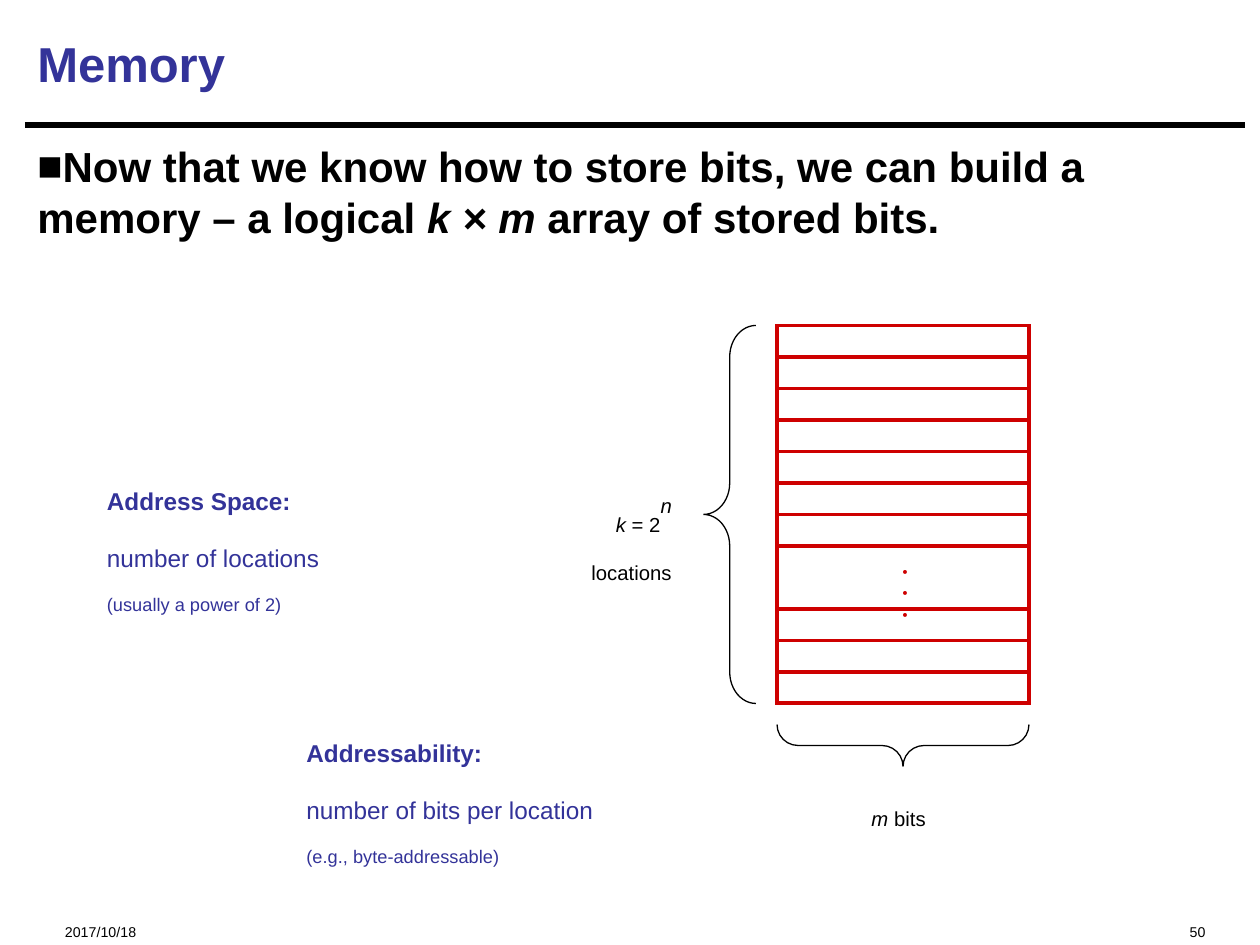
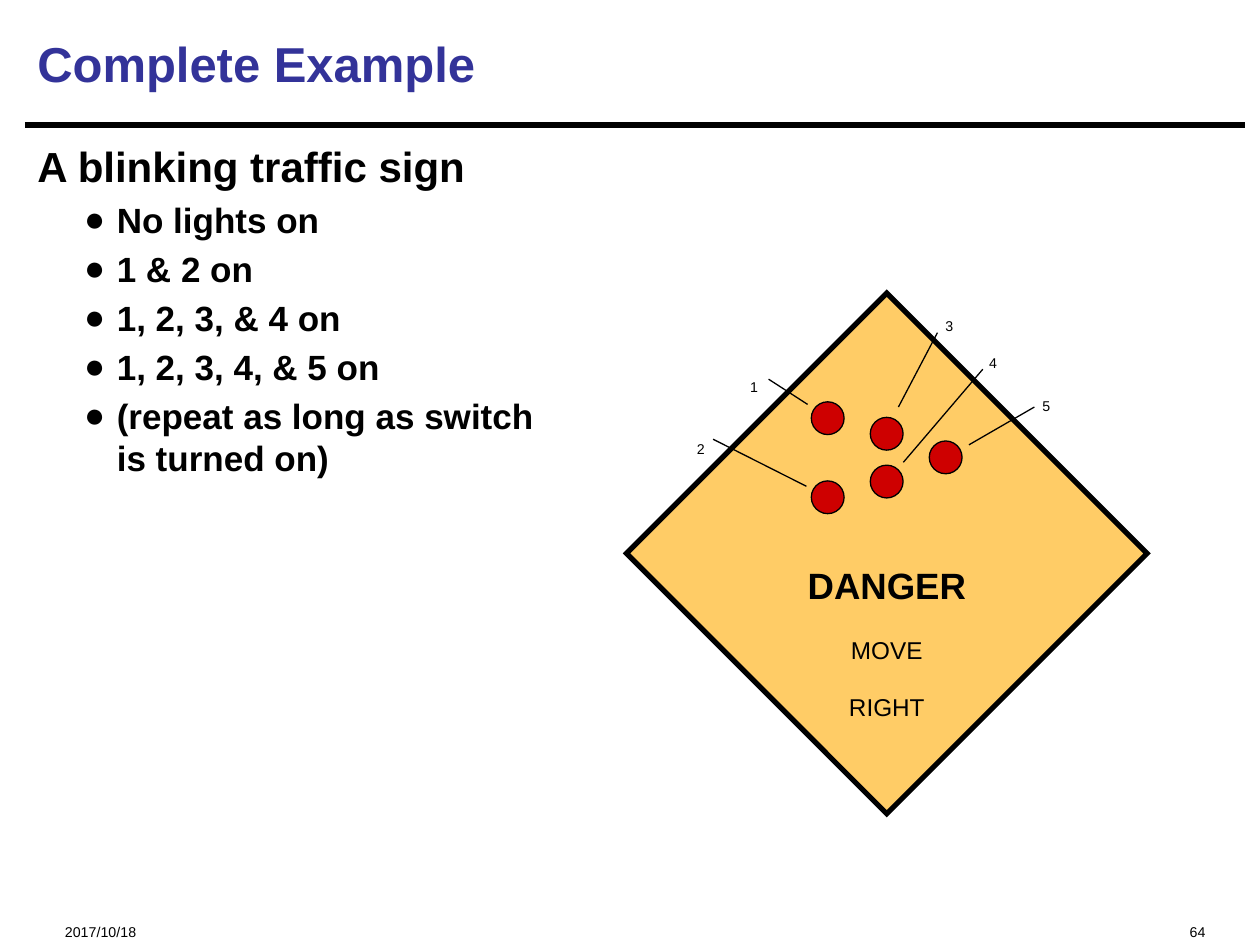
from dataclasses import dataclass
from typing import NamedTuple, Optional

from lxml.etree import SubElement
from pptx import Presentation
from pptx.dml.color import RGBColor
from pptx.enum.shapes import MSO_CONNECTOR as Link, MSO_SHAPE as Preset
from pptx.enum.text import MSO_ANCHOR as Anchor, PP_ALIGN as Align
from pptx.oxml.ns import qn
from pptx.util import Pt

BLACK, NAVY, RED, AMBER = "000000", "333399", "CE0000", "FFCC66"
LOWERED = -25


class Frame(NamedTuple):
    left: float
    top: float
    width: float
    height: float


class Span(NamedTuple):
    text: str
    italic: bool = False
    baseline: int = LOWERED


class Bullet(NamedTuple):
    mark: str
    margin: float = 0
    hang: float = 0


@dataclass
class Line:
    spans: list[Span]
    size: float
    color: str = BLACK
    bold: bool = False
    align: Align = Align.LEFT
    font: str = "Arial"
    spacing: Optional[float] = None
    before: float = 0
    bullet: Optional[Bullet] = None


class Lamp(NamedTuple):
    number: str
    left: float
    top: float
    label_left: float
    label_top: float
    wire: tuple[float, float, float, float]


def rgb(color: str) -> RGBColor:
    return RGBColor.from_string(color)


def plain(text: str, size: float, **style) -> Line:
    return Line([Span(text)], size, **style)


def add_bullet(para, bullet: Bullet) -> None:
    properties = para._p.get_or_add_pPr()
    properties.set("marL", str(Pt(bullet.margin)))
    properties.set("indent", str(Pt(-bullet.hang)))
    SubElement(properties, qn("a:buFont"), typeface="Arial")
    SubElement(properties, qn("a:buChar"), char=bullet.mark)


def add_text(page, frame: Frame, lines: list[Line], anchor=Anchor.TOP, shifted: bool = True):
    box = page.shapes.add_textbox(*map(Pt, frame))
    text = box.text_frame
    text.word_wrap = True
    text.vertical_anchor = anchor
    for index, line in enumerate(lines):
        para = text.add_paragraph() if index else text.paragraphs[0]
        para.alignment = line.align
        if line.spacing:
            para.line_spacing = line.spacing
        if index and line.before:
            para.space_before = Pt(line.before)
        if line.bullet:
            add_bullet(para, line.bullet)
        font = para.font
        font.name, font.size, font.bold = line.font, Pt(line.size), line.bold
        font.color.rgb = rgb(line.color)
        for item in line.spans:
            for part, piece in enumerate(item.text.split("\n")):
                if part:
                    para.add_line_break()
                span = para.add_run()
                span.text = piece
                if item.italic:
                    span.font.italic = True
                if shifted:
                    span._r.get_or_add_rPr().set("baseline", str(item.baseline * 1000))
    return box


def add_shape(page, preset: Preset, frame: Frame, line: str, weight: float, fill: str = ""):
    shape = page.shapes.add_shape(preset, *map(Pt, frame))
    shape.shadow.inherit = False
    if fill:
        shape.fill.solid()
        shape.fill.fore_color.rgb = rgb(fill)
    else:
        shape.fill.background()
    shape.line.color.rgb = rgb(line)
    shape.line.width = Pt(weight)
    SubElement(shape._element.spPr.find(qn("a:ln")), qn("a:miter"), lim="800000")
    return shape


def add_line(page, ends: tuple[float, float, float, float], color: str, weight: float):
    line = page.shapes.add_connector(Link.STRAIGHT, *map(Pt, ends))
    line.line.color.rgb = rgb(color)
    line.line.width = Pt(weight)
    SubElement(line._element.spPr, qn("a:effectLst"))
    return line


def add_brace(page, preset: Preset, frame: Frame, curve: float, rotation: float = 0) -> None:
    brace = add_shape(page, preset, frame, BLACK, 0.75)
    brace.adjustments[0], brace.adjustments[1] = curve, 0.5
    brace.rotation = rotation


def add_page(deck, title: str, number: str, body: list[Line]):
    page = deck.slides.add_slide(deck.slide_layouts[6])
    add_line(page, (14.25, 71.5, 711.5, 71.5), BLACK, 3.75)
    add_text(page, Frame(30, 514.5, 180, 19.5), [plain("2017/10/18", 14)])
    add_text(page, Frame(480, 514.5, 216, 19.5), [plain(number, 14, align=Align.RIGHT)])
    add_text(page, Frame(14.25, 6, 696, 60), [plain(title, 28, color=NAVY, bold=True)],
             Anchor.MIDDLE, False)
    add_text(page, Frame(14.25, 77, 696, 431), body, shifted=False)
    return page


def add_definition(page, frame: Frame, term: str, meaning: str, remark: str) -> None:
    add_text(page, frame, [
        plain(term, 24, color=NAVY, bold=True),
        plain(meaning, 24, color=NAVY),
        plain(remark, 18, color=NAVY),
    ])


def add_memory_array(page) -> None:
    left, top, width, row, rows = 444, 186, 144, 18, 12
    middle, skipped = rows // 2, 8
    array = add_shape(page, Preset.RECTANGLE, Frame(left, top, width, row * rows), RED, 2.25)
    for index in range(1, rows):
        if index == skipped:
            continue
        y = top + index * row
        divider = add_line(page, (left, y, left + width, y), RED, 2.25)
        if index == middle:
            divider.begin_connect(array, 1)
            divider.end_connect(array, 3)
    dot = plain("•", 18, color=RED, bold=True, align=Align.CENTER, font="Cabin", spacing=0.5)
    add_text(page, Frame(504, 312, 26.5, 39.5), [dot] * 3)
    add_brace(page, Preset.LEFT_BRACE, Frame(402, top, 30, row * rows), 0.6)
    add_brace(page, Preset.RIGHT_BRACE, Frame(504, 354, 24, width), 0.5, 90)


def build_memory(deck) -> None:
    body = Line([Span("Now that we know how to store bits, we can build a memory – a logical "),
                 Span("k × m", True), Span(" array of stored bits.")],
                24, bold=True, bullet=Bullet("■"))
    page = add_page(deck, "Memory", "50", [body])
    add_memory_array(page)
    add_text(page, Frame(297.5, 276, 93.5, 55.5), [
        Line([Span("k", True), Span(" = 2"), Span("n", True, 30)], 20, align=Align.RIGHT),
        plain("locations", 20, align=Align.RIGHT),
    ])
    add_text(page, Frame(479.5, 444, 68, 31),
             [Line([Span("m", True), Span(" bits")], 20, align=Align.CENTER)])
    add_definition(page, Frame(54, 258, 224, 86.5),
                   "Address Space:", "number of locations", "(usually a power of 2)")
    add_definition(page, Frame(168, 402, 297.5, 86.5),
                   "Addressability:", "number of bits per location", "(e.g., byte-addressable)")


LAMPS = [
    Lamp("1", 463.6, 229.6, 420, 203, (439.2, 216.7, 461.5, 231.1)),
    Lamp("2", 463.6, 274.8, 389.5, 238.5, (407.5, 251, 460.8, 277.9)),
    Lamp("3", 497.3, 238.5, 531.5, 168.5, (535.7, 190.1, 513.4, 232.6)),
    Lamp("4", 497.3, 265.8, 556.5, 189.5, (561.6, 211, 516.2, 264.2)),
    Lamp("5", 531, 252, 587, 214, (591.1, 232.6, 553.7, 254.2)),
]


def build_traffic_sign(deck) -> None:
    steps = ["No lights on", "1 & 2 on", "1, 2, 3, & 4 on", "1, 2, 3, 4, & 5 on",
             "(repeat as long as switch\nis turned on)"]
    body = [plain("A blinking traffic sign", 24, bold=True)]
    body += [plain(step, 20, bold=True, before=4, bullet=Bullet("●", 45.4, 18.75))
             for step in steps]
    page = add_page(deck, "Complete Example", "64", body)
    add_shape(page, Preset.DIAMOND, Frame(358, 167.5, 297.5, 297.5), BLACK, 3, AMBER)
    add_text(page, Frame(421.5, 294, 170.5, 108), [
        plain("DANGER", 36, bold=True, align=Align.CENTER),
        plain("MOVE", 24, align=Align.CENTER),
        plain("RIGHT", 24, align=Align.CENTER),
    ])
    for lamp in LAMPS:
        add_shape(page, Preset.OVAL, Frame(lamp.left, lamp.top, 18.75, 18.75), BLACK, 0.75, RED)
        add_text(page, Frame(lamp.label_left, lamp.label_top, 22, 24),
                 [plain(lamp.number, 14, align=Align.CENTER)])
        add_line(page, lamp.wire, BLACK, 0.75)


def main() -> None:
    deck = Presentation()
    deck.slide_width, deck.slide_height = Pt(720), Pt(540)
    build_memory(deck)
    build_traffic_sign(deck)
    deck.save("out.pptx")


if __name__ == "__main__":
    main()
